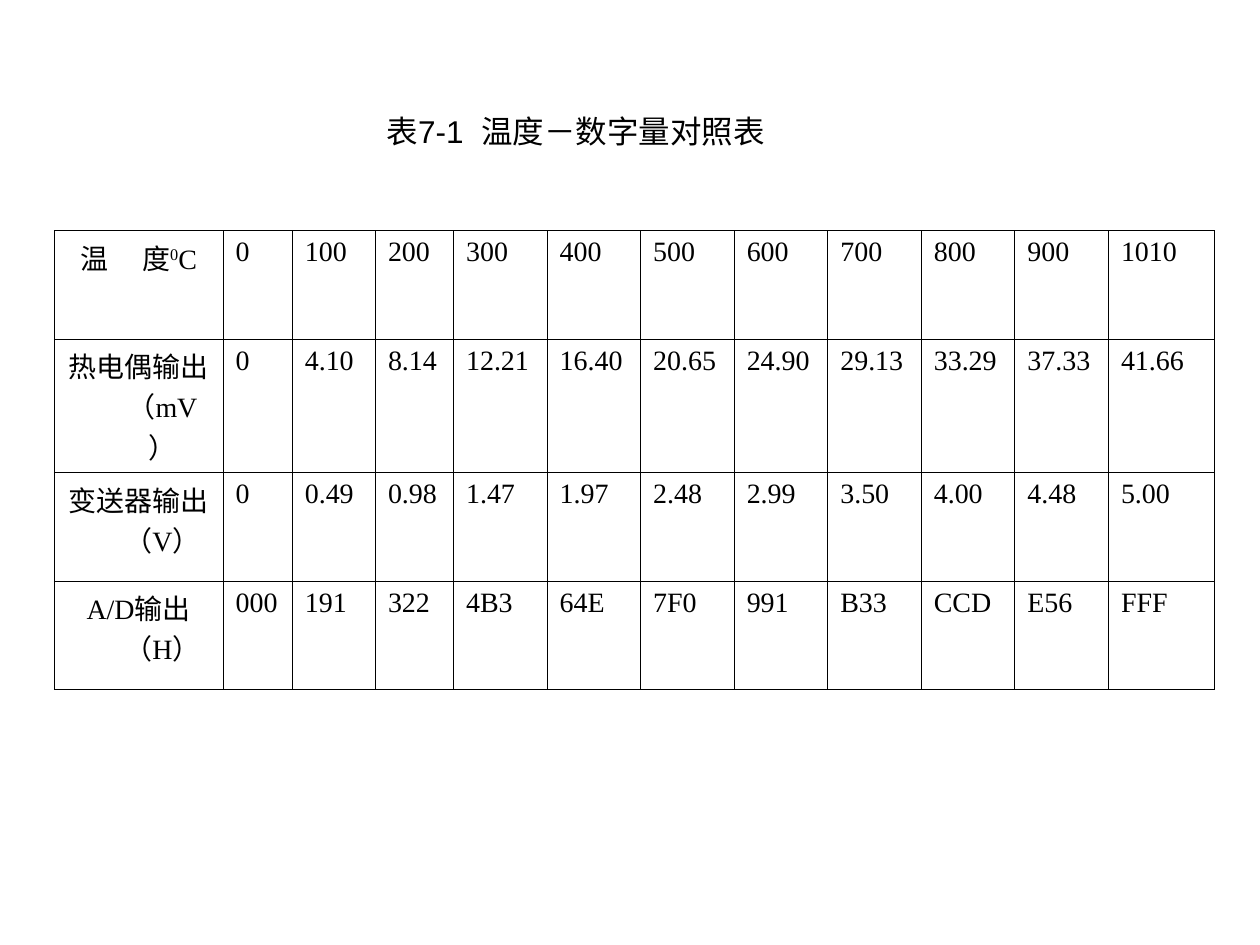
"""Build the slide with the temperature to digital value table."""
from lxml.etree import SubElement
from pptx import Presentation
from pptx.dml.color import RGBColor
from pptx.enum.lang import MSO_LANGUAGE_ID
from pptx.enum.text import MSO_AUTO_SIZE, PP_ALIGN
from pptx.oxml.ns import qn
from pptx.util import Inches, Pt

BLACK = RGBColor(0, 0, 0)
WHITE = RGBColor(255, 255, 255)

TABLE_W = 9.21
LEAD_COLS = [1.34, 0.55, 0.66, 0.62]
LAST_COL = 0.84
EQUAL_COL = (TABLE_W - sum(LEAD_COLS) - LAST_COL) / 7
COLS = LEAD_COLS + [EQUAL_COL] * 7 + [LAST_COL]
ROWS = [0.86, 0.9, 0.86, 0.86]

DATA = [
    ([("温", {}), (" ", {"spc": 1600}), ("度", {}), ("0", {"baseline": 30000}), ("C", {})],
     "0 100 200 300 400 500 600 700 800 900 1010"),
    ([("热电偶输出（mV）", {})],
     "0 4.10 8.14 12.21 16.40 20.65 24.90 29.13 33.29 37.33 41.66"),
    ([("变送器输出（V）", {})],
     "0 0.49 0.98 1.47 1.97 2.48 2.99 3.50 4.00 4.48 5.00"),
    ([("A/D输出（H）", {})],
     "000 191 322 4B3 64E 7F0 991 B33 CCD E56 FFF"),
]


def write(tf, runs, size=16, font="Times New Roman", align=PP_ALIGN.LEFT, hanging=0.38):
    p = tf.paragraphs[0]
    p.alignment = align
    pPr = p._p.get_or_add_pPr()
    pPr.set("marL", str(Inches(hanging)))
    pPr.set("indent", str(-Inches(hanging)))
    for text, attrs in runs:
        r = p.add_run()
        r.text = text
        r.font.size = Pt(size)
        r.font.name = font
        r.font.color.rgb = BLACK
        r.font.language_id = MSO_LANGUAGE_ID.SIMPLIFIED_CHINESE
        for name, value in attrs.items():
            r.font._element.set(name, str(value))


def add_borders(cell):
    tcPr = cell._tc.get_or_add_tcPr()
    for i, side in enumerate(("a:lnL", "a:lnR", "a:lnT", "a:lnB")):
        ln = tcPr.makeelement(qn(side), {"w": str(Pt(0.45))})
        fill = SubElement(ln, qn("a:solidFill"))
        SubElement(fill, qn("a:srgbClr"), val=str(BLACK))
        tcPr.insert(i, ln)


prs = Presentation()
prs.slide_width, prs.slide_height = Inches(10), Inches(7.5)
s = prs.slides.add_slide(prs.slide_layouts[6])

frame = s.shapes.add_table(len(ROWS), len(COLS), Inches(0.43), Inches(1.83),
                           Inches(TABLE_W), Inches(sum(ROWS)))
table = frame.table
table.first_row = table.horz_banding = False
for col, width in zip(table.columns, COLS):
    col.width = Inches(width)
for row, height, (label, values) in zip(table.rows, ROWS, DATA):
    row.height = Inches(height)
    texts = [label] + [[(value, {})] for value in values.split()]
    for i, (cell, runs) in enumerate(zip(row.cells, texts)):
        cell.fill.solid()
        cell.fill.fore_color.rgb = WHITE
        add_borders(cell)
        write(cell.text_frame, runs, align=PP_ALIGN.LEFT if i else PP_ALIGN.CENTER)

title = s.shapes.add_textbox(Inches(2.97), Inches(0.84), Inches(3.32), Inches(0.4))
tf = title.text_frame
tf.word_wrap = False
tf.auto_size = MSO_AUTO_SIZE.SHAPE_TO_FIT_TEXT
write(tf, [("表7-1", {}), (" ", {"spc": 500}), ("温度－数字量对照表", {})],
      size=18, font="Arial", hanging=0)

prs.save("out.pptx")
